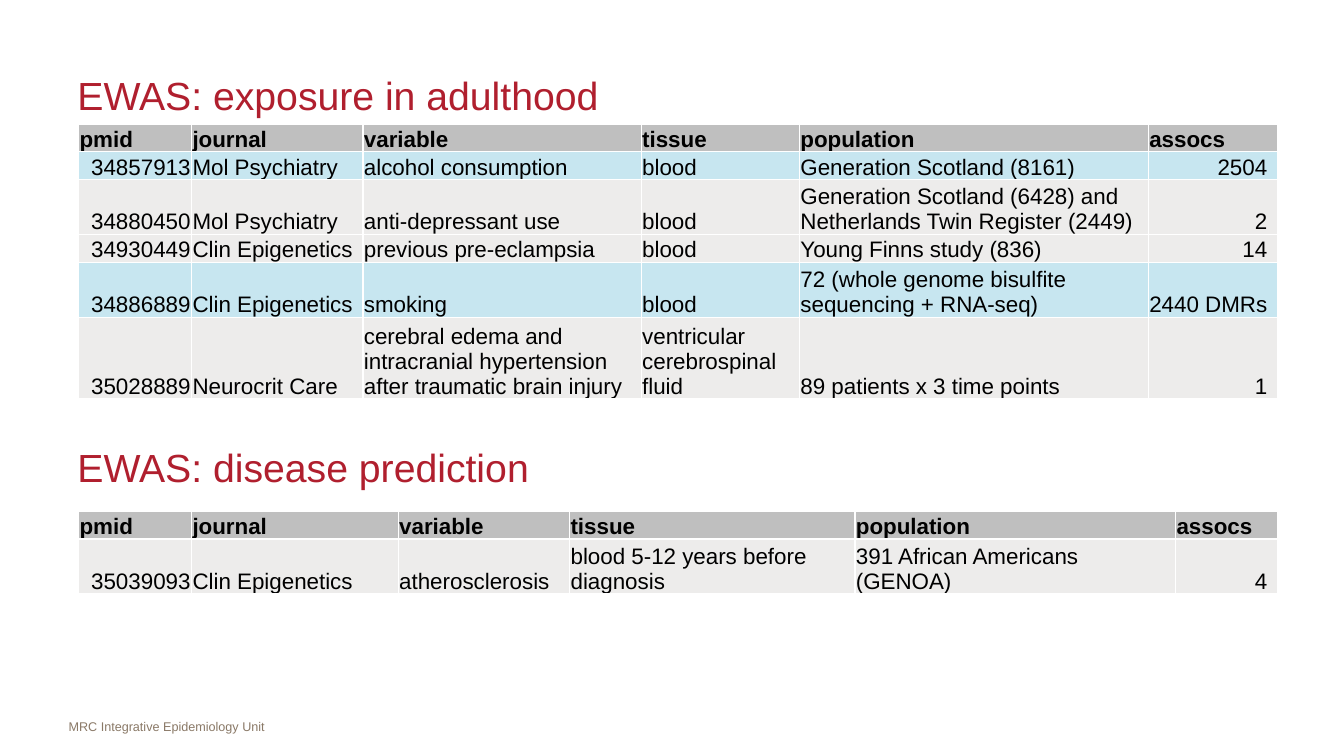
import pptx
import pptx.dml.color
import pptx.enum.text
import pptx.oxml
import pptx.oxml.ns
import pptx.util

Inches = pptx.util.Inches
Pt = pptx.util.Pt
ALIGN = pptx.enum.text.PP_ALIGN
ANCHOR = pptx.enum.text.MSO_ANCHOR

COLORS = {
    "title": "B01F2E",
    "footer": "8A7967",
    "text": "000000",
    "header": "BFBFBF",
    "highlight": "C7E6F0",
    "plain": "EDECEB",
    "border": "FFFFFF",
}
HEADINGS = ["pmid", "journal", "variable", "tissue", "population", "assocs"]
EXPOSURE_ROWS = [
    ["34857913", "Mol Psychiatry", "alcohol consumption", "blood",
     "Generation Scotland (8161)", "2504"],
    ["34880450", "Mol Psychiatry", "anti-depressant use", "blood",
     "Generation Scotland (6428) and Netherlands Twin Register (2449)", "2"],
    ["34930449", "Clin Epigenetics", "previous pre-eclampsia", "blood",
     "Young Finns study (836)", "14"],
    ["34886889", "Clin Epigenetics", "smoking", "blood",
     "72 (whole genome bisulfite sequencing + RNA-seq)", "2440 DMRs"],
    ["35028889", "Neurocrit Care",
     "cerebral edema and intracranial hypertension after traumatic brain injury",
     "ventricular cerebrospinal fluid", "89 patients x 3 time points", "1"],
]
PREDICTION_ROWS = [
    ["35039093", "Clin Epigenetics", "atherosclerosis",
     "blood 5-12 years before diagnosis", "391 African Americans (GENOA)", "4"],
]


def rgb(name):
    return pptx.dml.color.RGBColor.from_string(COLORS[name])


def write_text(tf, text, size=16, color="text", bold=False, align=ALIGN.LEFT, font="Arial"):
    tf.word_wrap = True
    p = tf.paragraphs[0]
    p.alignment = align
    r = p.add_run()
    r.text = text
    r.font.name = font
    r.font.size = Pt(size)
    r.font.bold = bold
    r.font.color.rgb = rgb(color)


class SlideBuilder:
    """Holds the style and the current slide."""

    row_height = 0.2
    cell_inset = 0.01
    count_inset = 0.1
    border_width = 1

    def __init__(self, slide):
        self.slide = slide

    def text(self, text, left, top, width, height, insets=(0.1, 0.05),
             anchor=ANCHOR.TOP, **fmt):
        tf = self.slide.shapes.add_textbox(
            Inches(left), Inches(top), Inches(width), Inches(height)).text_frame
        tf.margin_left = tf.margin_right = Inches(insets[0])
        tf.margin_top = tf.margin_bottom = Inches(insets[1])
        tf.vertical_anchor = anchor
        write_text(tf, text, **fmt)

    def title(self, text, top):
        self.text(text, 0.67, top, 11.89, 0.89, anchor=ANCHOR.MIDDLE,
                  size=28, color="title")

    def borders(self, cell):
        tc_pr = cell._tc.get_or_add_tcPr()
        for side in ("lnL", "lnR", "lnT", "lnB"):
            tc_pr.append(pptx.oxml.parse_xml(
                f'<a:{side} {pptx.oxml.ns.nsdecls("a")} w="{Pt(self.border_width)}">'
                f'<a:solidFill><a:srgbClr val="{COLORS["border"]}"/></a:solidFill>'
                f'</a:{side}>'))

    def cell(self, cell, text, fill, right_inset, **fmt):
        self.borders(cell)
        cell.fill.solid()
        cell.fill.fore_color.rgb = rgb(fill)
        cell.vertical_anchor = ANCHOR.BOTTOM
        cell.margin_left = cell.margin_top = Inches(self.cell_inset)
        cell.margin_right = Inches(right_inset)
        cell.margin_bottom = 0
        write_text(cell.text_frame, text, **fmt)

    def table(self, top, widths, body, highlighted=()):
        rows = [HEADINGS] + body
        table = self.slide.shapes.add_table(
            len(rows), len(widths), Inches(0.78), Inches(top),
            Inches(sum(widths)), Inches(self.row_height * len(rows))).table
        table.first_row = table.horz_banding = False
        for column, width in zip(table.columns, widths):
            column.width = Inches(width)
        last = len(widths) - 1
        for i, values in enumerate(rows):
            table.rows[i].height = Inches(self.row_height)
            header = i == 0
            fill = "header" if header else "highlight" if i in highlighted else "plain"
            for j, value in enumerate(values):
                numeric = not header and j in (0, last)
                inset = self.count_inset if numeric and j == last else self.cell_inset
                self.cell(table.cell(i, j), value, fill, inset, bold=header,
                          align=ALIGN.RIGHT if numeric else ALIGN.LEFT)


def main():
    prs = pptx.Presentation()
    prs.slide_width = Inches(13.33)
    prs.slide_height = Inches(7.5)
    s = SlideBuilder(prs.slides.add_slide(prs.slide_layouts[6]))
    s.text("MRC Integrative Epidemiology Unit", 0.68, 7.08, 3.22, 0.25,
           insets=(0, 0.05), size=9, color="footer")
    s.title("EWAS: exposure in adulthood", 0.5)
    s.table(1.23, [1.12, 1.7, 2.76, 1.57, 3.46, 1.28], EXPOSURE_ROWS, highlighted=(1, 4))
    s.table(5.07, [1.12, 2.05, 1.7, 2.83, 3.18, 1.01], PREDICTION_ROWS)
    s.title("EWAS: disease prediction", 4.19)
    prs.save("out.pptx")


if __name__ == "__main__":
    main()
